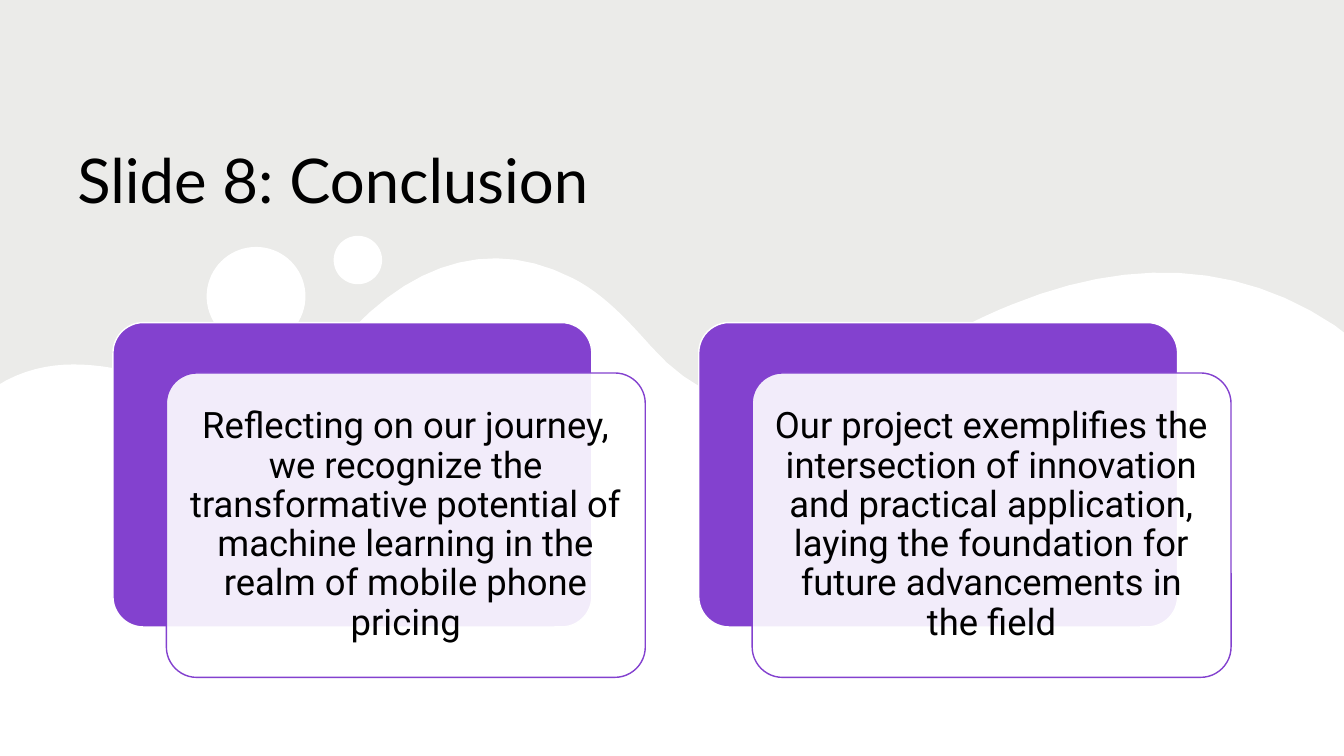
from math import cos, pi, sin

from lxml.etree import SubElement
from pptx import Presentation
from pptx.dml.color import RGBColor
from pptx.enum.shapes import MSO_SHAPE
from pptx.enum.text import MSO_ANCHOR, PP_ALIGN
from pptx.oxml.ns import qn
from pptx.util import Inches, Pt

PAPER = RGBColor(0xF2, 0xF3, 0xF0)
GREY = RGBColor(0xAE, 0xAE, 0xAE)
WHITE = RGBColor(0xFF, 0xFF, 0xFF)
BLACK = RGBColor(0x00, 0x00, 0x00)
PURPLE = RGBColor(0x83, 0x41, 0xCF)

CURVE_STEPS = 12
CIRCLE_STEPS = 72


def style(shape, fill, opacity=100, line=None):
    """Give a shape a flat fill, with opacity in percent, and a 1 pt line or none."""
    shape.shadow.inherit = False
    shape.fill.solid()
    shape.fill.fore_color.rgb = fill
    if opacity < 100:
        color = shape.fill._xPr.find(qn("a:solidFill"))[0]
        SubElement(color, qn("a:alpha"), val=str(opacity * 1000))
    if line is None:
        shape.line.fill.background()
    else:
        shape.line.color.rgb = line
        shape.line.width = Pt(1)


def add_text(box, text, font_name, size, anchor, margin=None):
    """Add a wrapped one-paragraph text box and return its paragraph."""
    frame = slide.shapes.add_textbox(*map(Inches, box)).text_frame
    frame.word_wrap = True
    frame.vertical_anchor = anchor
    if margin is not None:
        frame.margin_left = frame.margin_right = Inches(margin)
        frame.margin_top = frame.margin_bottom = Inches(margin)
    paragraph = frame.paragraphs[0]
    paragraph.text = text
    paragraph.font.name = font_name
    paragraph.font.size = Pt(size)
    paragraph.font.color.rgb = BLACK
    return paragraph


prs = Presentation()
prs.slide_width = Inches(13.33)
prs.slide_height = Inches(7.5)
slide = prs.slides.add_slide(prs.slide_layouts[6])

# Background with a light grey tint
slide.background.fill.solid()
slide.background.fill.fore_color.rgb = PAPER
tint = slide.shapes.add_shape(MSO_SHAPE.RECTANGLE, 0, 0, prs.slide_width, prs.slide_height)
style(tint, GREY, opacity=10)

# White wave: Bézier segments as (control 1, control 2, end)
wave_start = (0, 3.81)
wave_curves = [
    ((0.02, 3.8), (0.05, 3.78), (0.07, 3.77)),
    ((0.44, 3.58), (0.82, 3.59), (1.22, 3.67)),
    ((1.65, 3.76), (2.1, 3.83), (2.54, 3.83)),
    ((2.95, 3.84), (3.23, 3.53), (3.5, 3.26)),
    ((4.16, 2.57), (4.92, 2.37), (5.68, 2.76)),
    ((5.98, 2.91), (6.23, 3.18), (6.46, 3.44)),
    ((7.07, 4.13), (7.82, 4.15), (8.53, 3.79)),
    ((9.03, 3.54), (9.51, 3.23), (10.04, 3.02)),
    ((11.17, 2.56), (12.27, 2.58), (13.24, 3.23)),
]
wave = [wave_start]
for control_1, control_2, end in wave_curves:
    start = wave[-1]
    for step in range(1, CURVE_STEPS + 1):
        t = step / CURVE_STEPS
        weights = ((1 - t) ** 3, 3 * t * (1 - t) ** 2, 3 * t**2 * (1 - t), t**3)
        anchors = (start, control_1, control_2, end)
        wave.append(tuple(sum(w * a[axis] for w, a in zip(weights, anchors)) for axis in (0, 1)))
wave += [(13.33, 3.3), (13.33, 7.5), (0, 7.5)]

# Bubbles above the wave: centre x, centre y, radius
contours = [wave]
for x, y, radius in [(2.54, 2.94, 0.49), (3.55, 2.58, 0.24)]:
    angles = [2 * pi * step / CIRCLE_STEPS for step in range(CIRCLE_STEPS)]
    contours.append([(x + radius * cos(a), y + radius * sin(a)) for a in angles])

outline = slide.shapes.build_freeform(Inches(wave_start[0]), Inches(wave_start[1]))
for contour in contours:
    points = [(Inches(x), Inches(y)) for x, y in contour]
    if contour is not wave:
        outline.move_to(*points[0])
    outline.add_line_segments(points[1:], close=True)
style(outline.convert_to_shape(), WHITE)

add_text((0.67, 0.61, 12, 1.58), "Slide 8: Conclusion", "Lato", 44, MSO_ANCHOR.BOTTOM)

# Conclusion cards: a purple back and a translucent front, offset
CARD_WIDTH, CARD_HEIGHT = 4.75, 3.02
CARD_LEFT, CARD_TOP, CARD_PITCH = 1.12, 3.2, 5.81
FRONT_DX, FRONT_DY = 0.53, 0.5
TEXT_INSET = 0.09

conclusions = [
    "Reflecting on our journey, we recognize the transformative potential of "
    "machine learning in the realm of mobile phone pricing",
    "Our project exemplifies the intersection of innovation and practical application, "
    "laying the foundation for future advancements in the field",
]
for index, conclusion in enumerate(conclusions):
    left = CARD_LEFT + index * CARD_PITCH
    front_left, front_top = left + FRONT_DX, CARD_TOP + FRONT_DY
    for x, y, fill, opacity, line in [
        (left, CARD_TOP, PURPLE, 100, WHITE),
        (front_left, front_top, WHITE, 90, PURPLE),
    ]:
        card = slide.shapes.add_shape(
            MSO_SHAPE.ROUNDED_RECTANGLE,
            Inches(x), Inches(y), Inches(CARD_WIDTH), Inches(CARD_HEIGHT),
        )
        card.adjustments[0] = 0.1
        style(card, fill, opacity, line)
    text_box = (
        front_left + TEXT_INSET,
        front_top + TEXT_INSET,
        CARD_WIDTH - 2 * TEXT_INSET,
        CARD_HEIGHT - 2 * TEXT_INSET,
    )
    paragraph = add_text(text_box, conclusion, "Roboto", 26, MSO_ANCHOR.MIDDLE, margin=0.11)
    paragraph.alignment = PP_ALIGN.CENTER
    paragraph.line_spacing = 0.9

prs.save("out.pptx")
